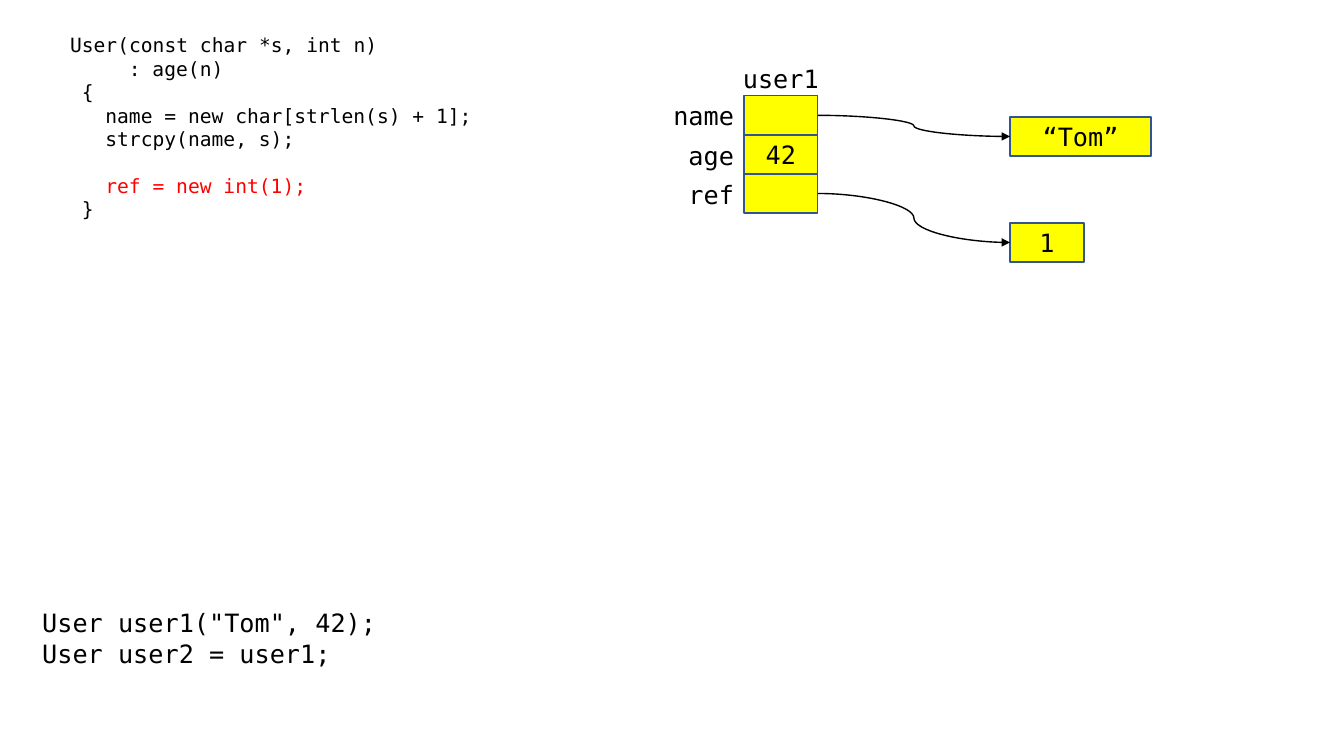
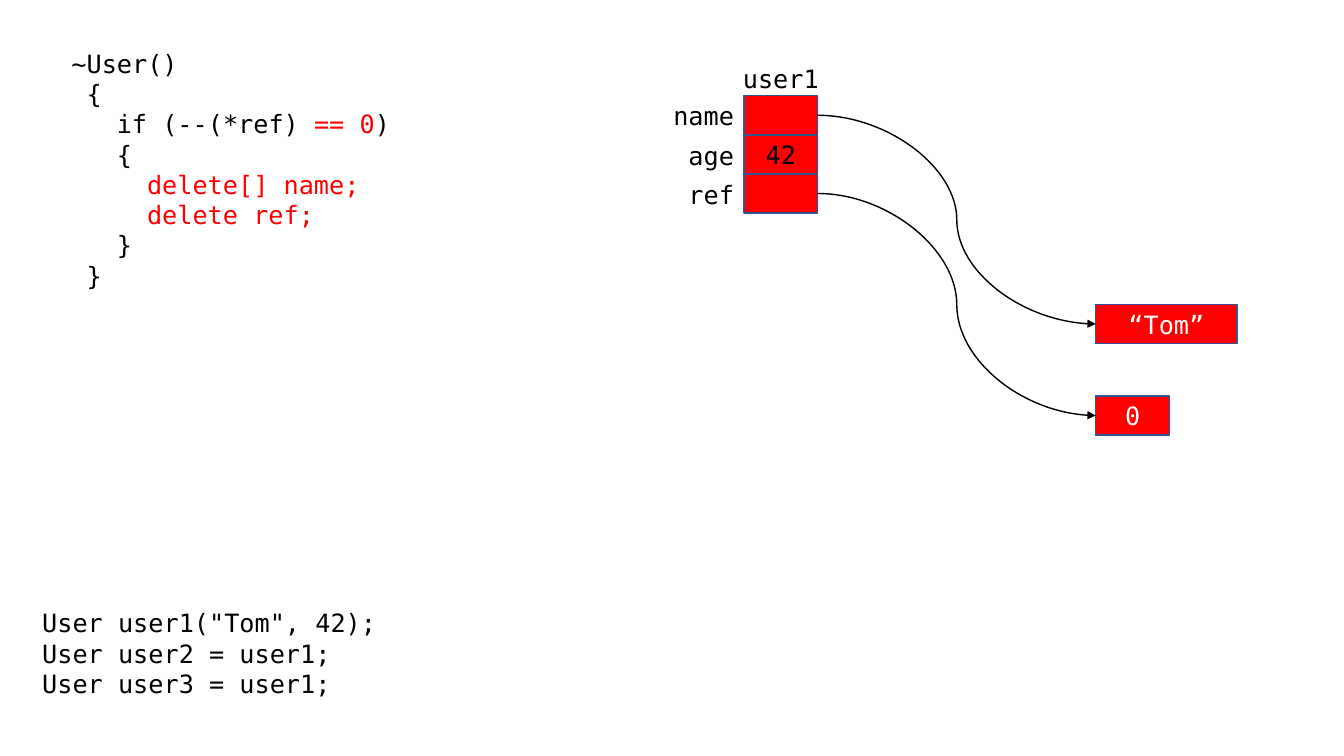
"""Builds two slides on reference counting in a C++ User class."""
from lxml import etree
from pptx import Presentation
from pptx.dml.color import RGBColor
from pptx.enum.shapes import MSO_CONNECTOR, MSO_SHAPE
from pptx.enum.text import MSO_ANCHOR, MSO_AUTO_SIZE, PP_ALIGN
from pptx.oxml.ns import qn
from pptx.util import Inches, Pt

RECTANGLE = MSO_SHAPE.RECTANGLE
CURVE = MSO_CONNECTOR.CURVE
LEFT, CENTER, RIGHT = PP_ALIGN.LEFT, PP_ALIGN.CENTER, PP_ALIGN.RIGHT
MIDDLE = MSO_ANCHOR.MIDDLE
GROW = MSO_AUTO_SIZE.SHAPE_TO_FIT_TEXT
RIGHT_SITE, LEFT_SITE = 3, 1

COLORS = {"ink": "000000", "paper": "FFFFFF", "live": "FFFF00",
          "red": "FF0000", "edge": "325491"}
FONT = "DejaVu Sans Mono"
CHAR_WIDTH, LINE_HEIGHT = 0.6, 1.16
BODY, SMALL = 18, 14

FIELD_LEFT, FIELD_TOP = 55.35, 12.67
CELL_WIDTH, CELL_HEIGHT = 5.5, 5.17
NAME_WIDTH = 10.5
LABEL_WIDTH, LABEL_HEIGHT = 8.4, 5.33
TITLE_WIDTH, TITLE_TOP = 10, 7.7


def color(name):
    """Return the named colour."""
    return RGBColor.from_string(COLORS[name])


def style(target, formats):
    """Set each format value on the target."""
    for key, value in formats.items():
        setattr(target, key, value)


class Board:
    """Holds the deck style and the current slide; lengths are percent of the slide."""

    def __init__(self):
        """Start a wide deck."""
        self.deck = Presentation()
        style(self.deck, {"slide_width": Inches(13.33), "slide_height": Inches(7.5)})
        self.page = None

    def new_page(self):
        """Add an empty slide and make it current."""
        self.page = self.deck.slides.add_slide(self.deck.slide_layouts[6])

    def place(self, left, top, width, height):
        """Turn percentages into slide lengths."""
        across, down = self.deck.slide_width / 100, self.deck.slide_height / 100
        return [round(share * unit) for share, unit in
                zip((left, top, width, height), (across, down, across, down))]

    def fill_para(self, para, spans, size, align):
        """Fill a paragraph with (text, colour) spans."""
        para.alignment = align
        for text, ink in spans:
            span = para.add_run()
            span.text = text
            style(span.font, {"name": FONT, "size": Pt(size)})
            span.font.color.rgb = color(ink)

    def text(self, area, lines, size=BODY, align=LEFT):
        """Add lines of (indent in characters, spans, blank lines before)."""
        frame = self.page.shapes.add_textbox(*self.place(*area)).text_frame
        style(frame, {"word_wrap": True, "auto_size": GROW})
        for number, (indent, spans, gap) in enumerate(lines):
            para = frame.add_paragraph() if number else frame.paragraphs[0]
            self.fill_para(para, spans, size, align)
            if indent:
                margin = Pt(indent * CHAR_WIDTH * size)
                properties = para._p.get_or_add_pPr()
                properties.set("marL", str(int(margin)))
                properties.set("indent", "0")
            if gap:
                para.space_before = Pt(gap * LINE_HEIGHT * size)

    def label(self, area, text, align):
        """Add a one-line label."""
        self.text(area, [(0, [(text, "ink")], 0)], align=align)

    def cell(self, area, fill, text="", ink="ink"):
        """Add a memory cell with an optional value."""
        box = self.page.shapes.add_shape(RECTANGLE, *self.place(*area))
        box.shadow.inherit = False
        box.fill.solid()
        box.fill.fore_color.rgb = color(fill)
        box.line.color.rgb = color("edge")
        box.line.width = Pt(1)
        box.text_frame.vertical_anchor = MIDDLE
        if text:
            self.fill_para(box.text_frame.paragraphs[0], [(text, ink)], BODY, CENTER)
        return box

    def pointer(self, source, target):
        """Draw a curved arrow from one cell to another."""
        arrow = self.page.shapes.add_connector(CURVE, 0, 0, 0, 0)
        arrow.begin_connect(source, RIGHT_SITE)
        arrow.end_connect(target, LEFT_SITE)
        arrow.line.color.rgb = color("ink")
        arrow.line.width = Pt(1)
        properties = arrow._element.spPr
        etree.SubElement(properties.find(qn("a:ln")), qn("a:tailEnd"), type="triangle")
        etree.SubElement(properties, qn("a:effectLst"))

    def user(self, fill, ink, heap_left, heap_tops, count):
        """Draw the user1 object and the heap cells it points to."""
        middle = FIELD_LEFT + CELL_WIDTH / 2
        self.label((middle - TITLE_WIDTH / 2, TITLE_TOP, TITLE_WIDTH, LABEL_HEIGHT),
                   "user1", CENTER)
        fields = {}
        for row, (name, value) in enumerate((("name", ""), ("age", "42"), ("ref", ""))):
            top = FIELD_TOP + row * CELL_HEIGHT
            fields[name] = self.cell((FIELD_LEFT, top, CELL_WIDTH, CELL_HEIGHT), fill, value)
            self.label((FIELD_LEFT - LABEL_WIDTH, top, LABEL_WIDTH, LABEL_HEIGHT),
                       name, RIGHT)
        heap = (("name", "“Tom”", NAME_WIDTH), ("ref", count, CELL_WIDTH))
        for (name, value, width), top in zip(heap, heap_tops):
            target = self.cell((heap_left, top, width, CELL_HEIGHT), fill, value, ink)
            self.pointer(fields[name], target)

    def calls(self, *statements):
        """List the calling statements at the foot of the slide."""
        self.text((2.4, 79.73, 50, 4 * len(statements) + 1.4),
                  [(0, [(statement, "ink")], 0) for statement in statements])


CONSTRUCTOR = [
    (1, [("User(const char *s, int n)", "ink")], 0),
    (6, [(": age(n)", "ink")], 0),
    (2, [("{", "ink")], 0),
    (4, [("name = new char[strlen(s) + 1];", "ink")], 0),
    (4, [("strcpy(name, s);", "ink")], 0),
    (4, [("ref = new int(1);", "red")], 1),
    (2, [("}", "ink")], 0),
]
DESTRUCTOR = [
    (1, [("~User()", "ink")], 0),
    (2, [("{", "ink")], 0),
    (4, [("if (--(*ref) ", "ink"), ("== 0", "red"), (")", "ink")], 0),
    (4, [("{", "ink")], 0),
    (6, [("delete[] name;", "red")], 0),
    (6, [("delete ref;", "red")], 0),
    (4, [("}", "ink")], 0),
    (2, [("}", "ink")], 0),
]
CALLS = ['User user1("Tom", 42);', "User user2 = user1;", "User user3 = user1;"]

board = Board()

board.new_page()
board.calls(*CALLS[:2])
board.user("live", "ink", 75.15, (15.47, 29.5), "1")
board.text((3.6, 3.73, 40.5, 26.5), CONSTRUCTOR, SMALL)

board.new_page()
board.calls(*CALLS)
board.user("red", "paper", 81.53, (40.27, 52.37), "0")
board.text((3.45, 5.73, 34.3, 33.6), DESTRUCTOR)

board.deck.save("out.pptx")
